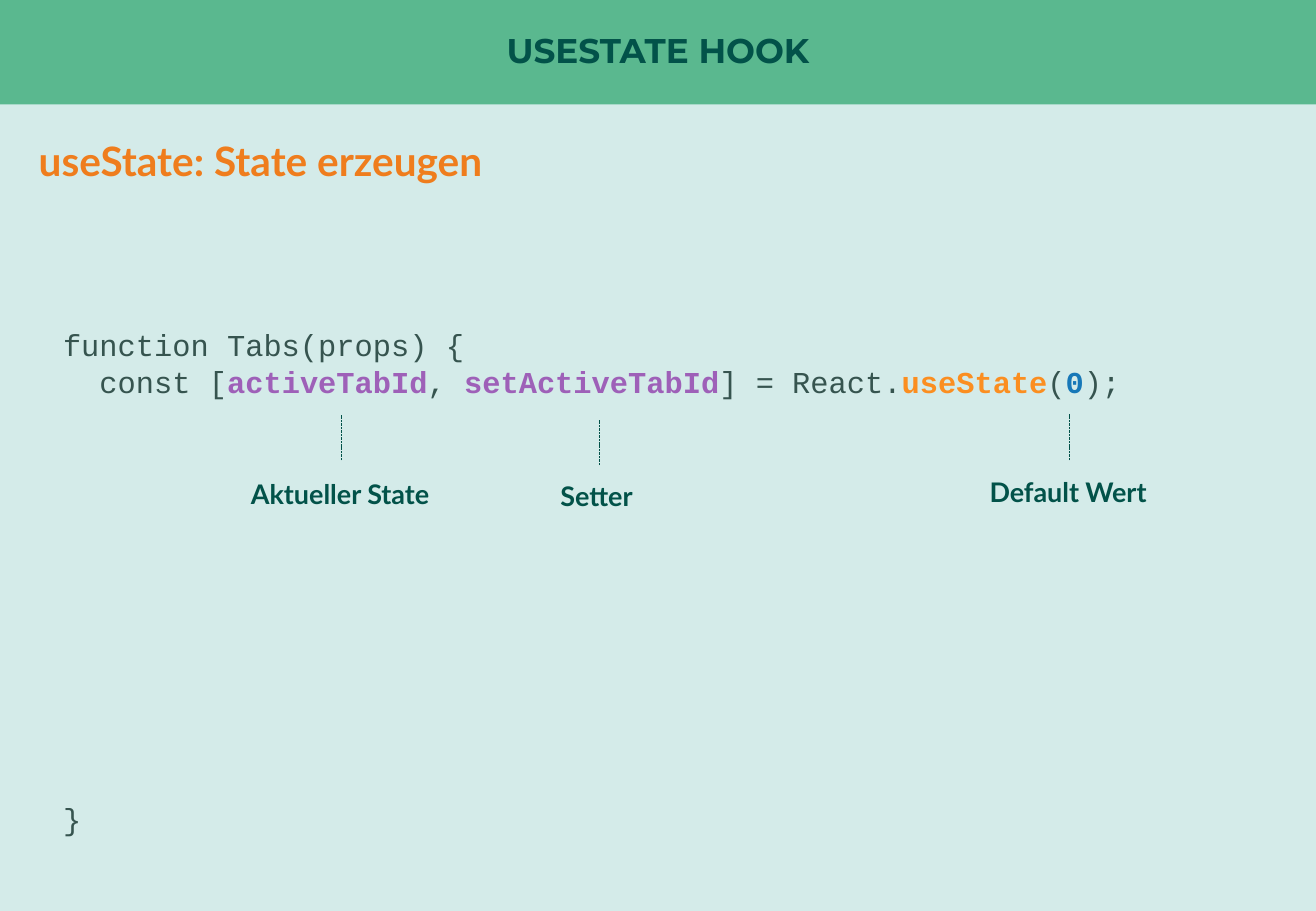
from dataclasses import dataclass

import pptx
import pptx.dml.color
import pptx.enum.dml
import pptx.enum.shapes
import pptx.enum.text
import pptx.oxml
import pptx.oxml.ns
import pptx.shapes.autoshape
import pptx.slide
import pptx.text.text
import pptx.util

Inches = pptx.util.Inches
Pt = pptx.util.Pt
RGBColor = pptx.dml.color.RGBColor
Align = pptx.enum.text.PP_ALIGN
Anchor = pptx.enum.text.MSO_ANCHOR

BACKGROUND = RGBColor(0xD4, 0xEB, 0xE9)
GREEN = RGBColor(0x5A, 0xB8, 0x8F)
DARK_GREEN = RGBColor(0x02, 0x52, 0x49)
HEADING_ORANGE = RGBColor(0xEF, 0x7D, 0x1D)
CODE_GRAY = RGBColor(0x36, 0x54, 0x4F)
PURPLE = RGBColor(0x9E, 0x60, 0xB8)
HOOK_ORANGE = RGBColor(0xFB, 0x8E, 0x20)
BLUE = RGBColor(0x17, 0x78, 0xB8)

PAGE_WIDTH = 10.83
HEADER_HEIGHT = 0.86
LABEL_WIDTH = 3.2
LABEL_HEIGHT = 0.37
CODE_PITCH = 21.6
CODE_GAP_LINES = 11


@dataclass(frozen=True)
class Span:
    text: str
    color: RGBColor = CODE_GRAY
    bold: bool = False


@dataclass(frozen=True)
class Callout:
    text: str
    left: float
    top: float
    line_x: float
    line_top: float
    line_bottom: float


CODE_LINES = [
    [Span("function Tabs(props) {")],
    [
        Span("  const ["),
        Span("activeTabId", PURPLE, True),
        Span(", "),
        Span("setActiveTabId", PURPLE, True),
        Span("] = React."),
        Span("useState", HOOK_ORANGE, True),
        Span("("),
        Span("0", BLUE, True),
        Span(");"),
    ],
    [Span("}")],
]

CALLOUTS = [
    Callout("Default Wert", 7.19, 3.87, 8.8, 3.41, 3.79),
    Callout("Setter", 3.31, 3.9, 4.93, 3.46, 3.83),
    Callout("Aktueller State", 1.2, 3.88, 2.81, 3.42, 3.79),
]


def format_font(font: pptx.text.text.Font, name: str, size: float,
                color: RGBColor, bold: bool = True) -> None:
    font.name = name
    font.size = Pt(size)
    font.bold = bold
    font.color.rgb = color


def add_header(page: pptx.slide.Slide) -> None:
    area = (0, 0, Inches(PAGE_WIDTH), Inches(HEADER_HEIGHT))
    bar = page.shapes.add_shape(pptx.enum.shapes.MSO_SHAPE.RECTANGLE, *area)
    bar.shadow.inherit = False
    bar.fill.solid()
    bar.fill.fore_color.rgb = GREEN
    bar.line.fill.background()

    title = page.shapes.title
    title.element.addprevious(bar.element)
    title.left, title.top, title.width, title.height = area
    frame = title.text_frame
    frame.text = "USESTATE HOOK"
    frame.margin_left = frame.margin_right = frame.margin_top = frame.margin_bottom = 0
    frame.vertical_anchor = Anchor.MIDDLE
    para = frame.paragraphs[0]
    para.alignment = Align.CENTER
    para.line_spacing = 0.9
    format_font(para.runs[0].font, "Montserrat", 20.3, DARK_GREEN)


def add_heading(page: pptx.slide.Slide) -> None:
    box = page.shapes.add_textbox(Inches(0.22), Inches(1.12), Inches(10.39), Inches(5.83))
    frame = box.text_frame
    frame.word_wrap = True
    frame.text = "useState: State erzeugen"
    para = frame.paragraphs[0]
    para.line_spacing = 0.9
    format_font(para.runs[0].font, "Lato", 24, HEADING_ORANGE)


def add_code(page: pptx.slide.Slide) -> None:
    box = page.shapes.add_textbox(Inches(0.42), Inches(2.64), Inches(9.99), Inches(4.64))
    frame = box.text_frame
    frame.word_wrap = True
    for index, spans in enumerate(CODE_LINES):
        para = frame.add_paragraph() if index else frame.paragraphs[0]
        para.line_spacing = Pt(CODE_PITCH)
        for span in spans:
            run = para.add_run()
            run.text = span.text
            format_font(run.font, "Courier New", 18, span.color, span.bold)
    frame.paragraphs[-1].space_before = Pt(CODE_GAP_LINES * CODE_PITCH)


def add_callout(page: pptx.slide.Slide, callout: Callout) -> None:
    group = page.shapes.add_group_shape()
    box = group.shapes.add_textbox(
        Inches(callout.left), Inches(callout.top), Inches(LABEL_WIDTH), Inches(LABEL_HEIGHT))
    frame = box.text_frame
    frame.word_wrap = True
    frame.text = callout.text
    para = frame.paragraphs[0]
    para.alignment = Align.CENTER
    format_font(para.runs[0].font, "Lato", 16, DARK_GREEN)

    line = group.shapes.add_connector(
        pptx.enum.shapes.MSO_CONNECTOR.STRAIGHT,
        Inches(callout.line_x), Inches(callout.line_bottom),
        Inches(callout.line_x), Inches(callout.line_top))
    line.line.color.rgb = DARK_GREEN
    line.line.width = Pt(0.5)
    line.line.dash_style = pptx.enum.dml.MSO_LINE.SQUARE_DOT
    properties = line.element.find(pptx.oxml.ns.qn("p:spPr"))
    properties.append(pptx.oxml.parse_xml(
        f'<a:effectLst {pptx.oxml.ns.nsdecls("a")}/>'))


def main() -> None:
    deck = pptx.Presentation()
    deck.slide_width = Inches(PAGE_WIDTH)
    deck.slide_height = Inches(7.5)
    page = deck.slides.add_slide(deck.slide_layouts[5])
    page.background.fill.solid()
    page.background.fill.fore_color.rgb = BACKGROUND
    add_header(page)
    add_heading(page)
    add_code(page)
    for callout in CALLOUTS:
        add_callout(page, callout)
    deck.save("out.pptx")


if __name__ == "__main__":
    main()
